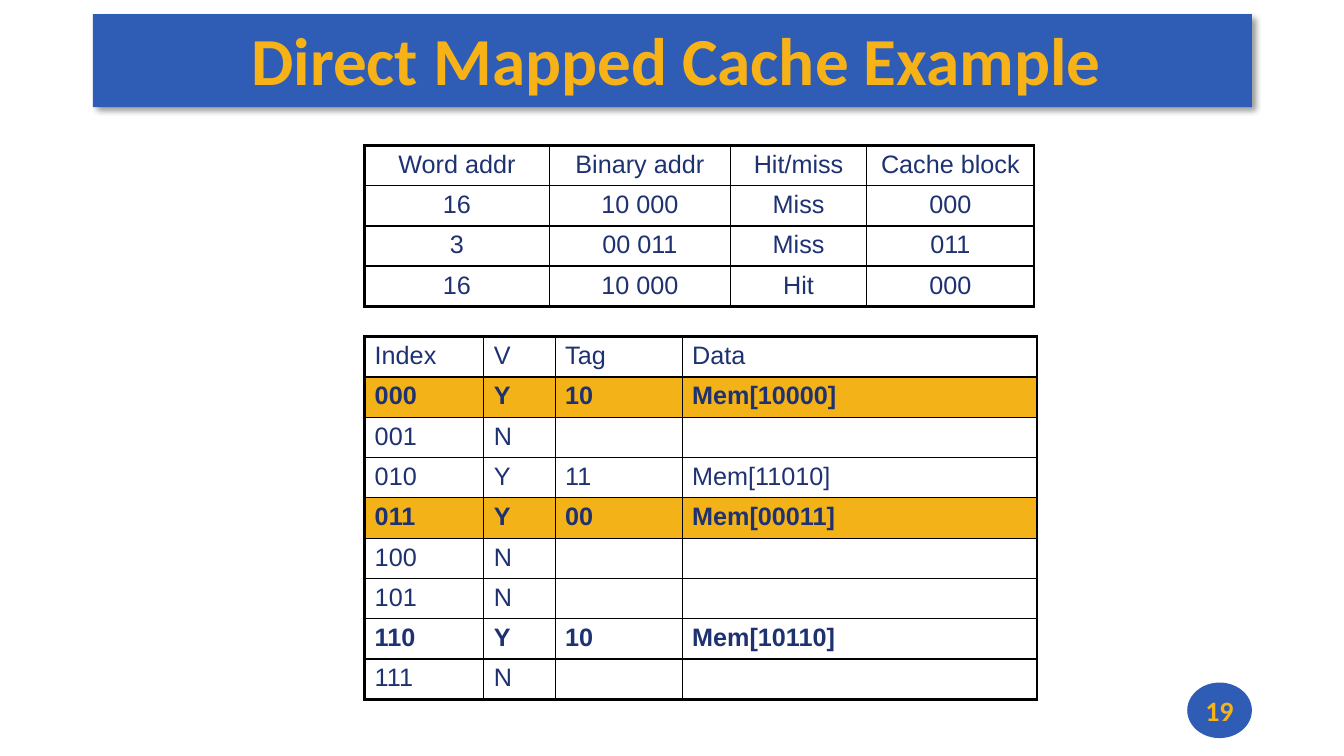
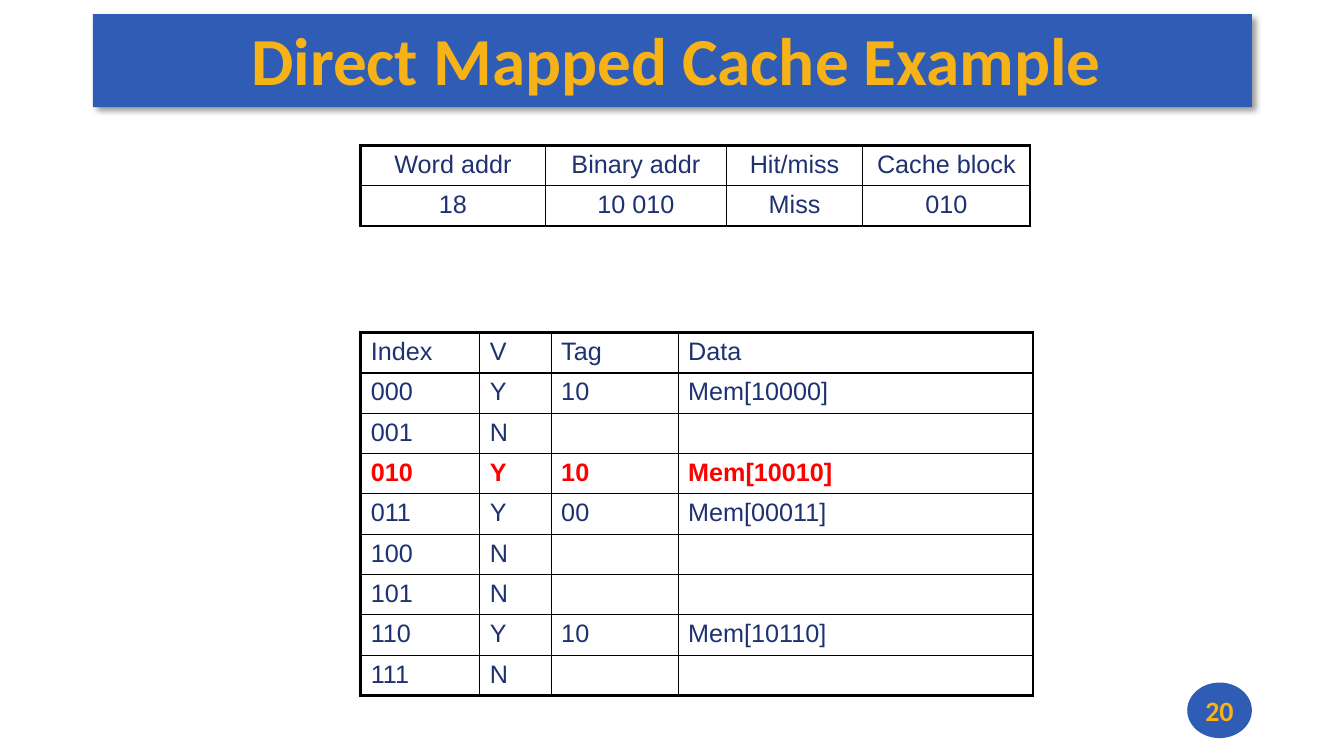
import dataclasses

import lxml.etree
import pptx
import pptx.dml.color
import pptx.enum.shapes
import pptx.enum.text
import pptx.oxml
import pptx.oxml.ns
import pptx.util

Cm = pptx.util.Cm
Pt = pptx.util.Pt
qn = pptx.oxml.ns.qn
Align = pptx.enum.text.PP_ALIGN
Shape = pptx.enum.shapes.MSO_SHAPE


# Shared colours, fonts, sizes and line weights
@dataclasses.dataclass(frozen=True)
class Theme:
    band: str = "2F5CB5"
    gold: str = "F7B217"
    highlight: str = "F3B217"
    ink: str = "1E3272"
    alert: str = "FF0000"
    paper: str = "FFFFFF"
    line: str = "000000"
    heading_font: str = "Calibri"
    table_font: str = "Arial"
    title_size: int = 48
    number_size: int = 20
    table_size: int = 18
    frame_width: float = 2.25
    header_width: float = 1.5
    grid_width: float = 1


# How one table row looks
@dataclasses.dataclass(frozen=True)
class RowStyle:
    color: str
    fill: str
    bold: bool = True


THEME = Theme()
PLAIN = RowStyle(THEME.ink, THEME.paper, bold=False)
BOLD = RowStyle(THEME.ink, THEME.paper)
HIGHLIGHT = RowStyle(THEME.ink, THEME.highlight)
ALERT = RowStyle(THEME.alert, THEME.paper)

# Table layout, in centimetres
ROW_HEIGHT = 1.016
ADDRESS_TOP = 3.66
ADDRESS_COLUMNS = (4.65, 4.57, 3.43, 4.22)
CACHE_COLUMNS = (3, 1.8, 3.2, 8.94)
ADDRESS_HEADER = ("Word addr", "Binary addr", "Hit/miss", "Cache block")
CACHE_HEADER = ("Index", "V", "Tag", "Data")


def rgb(value):
    return pptx.dml.color.RGBColor.from_string(value)


def set_text(frame, text, font_name, size, color, bold, align):
    para = frame.paragraphs[0]
    para.alignment = align
    para.font.name = font_name
    para.font.size = Pt(size)
    para.font.color.rgb = rgb(color)
    para.font.bold = bold
    if text:
        para.add_run().text = text


def add_label(page, kind, box, text, size, insets):
    """Add a blue shape with gold heading text; insets are left, top, right, bottom."""
    label = page.shapes.add_shape(kind, *map(Cm, box))
    label.shadow.inherit = False
    label.fill.solid()
    label.fill.fore_color.rgb = rgb(THEME.band)
    label.line.fill.background()
    frame = label.text_frame
    frame.word_wrap = True
    frame.vertical_anchor = pptx.enum.text.MSO_ANCHOR.MIDDLE
    (frame.margin_left, frame.margin_top,
     frame.margin_right, frame.margin_bottom) = map(Cm, insets)
    set_text(frame, text, THEME.heading_font, size, THEME.gold, True, Align.CENTER)
    return label


def add_shadow(shape):
    effects = shape.element.spPr.find(qn("a:effectLst"))
    shadow = lxml.etree.SubElement(
        effects, qn("a:outerShdw"), blurRad=str(Pt(4)), dist=str(Pt(3)),
        dir="2700000", algn="tl", rotWithShape="0")
    color = lxml.etree.SubElement(shadow, qn("a:srgbClr"), val=THEME.line)
    lxml.etree.SubElement(color, qn("a:alpha"), val="40000")


def set_borders(cell, widths):
    """Draw the cell's borders; widths maps L, R, T, B to points."""
    properties = cell._tc.get_or_add_tcPr()
    for side in "LRTB":
        border = lxml.etree.SubElement(
            properties, qn(f"a:ln{side}"), w=str(Pt(widths[side])))
        fill = lxml.etree.SubElement(border, qn("a:solidFill"))
        lxml.etree.SubElement(fill, qn("a:srgbClr"), val=THEME.line)


def add_grid(page, left, top, columns, rows, align, row_line, styles):
    """Add a framed table; styles maps row numbers to a RowStyle."""
    table = page.shapes.add_table(
        len(rows), len(columns), Cm(left), Cm(top),
        Cm(sum(columns)), Cm(ROW_HEIGHT * len(rows))).table
    table.first_row = False
    table.horz_banding = False
    for column, width in zip(table.columns, columns):
        column.width = Cm(width)

    # Line weights from the outer frame inwards
    frame = THEME.frame_width
    inner_rows = [THEME.header_width] + [row_line] * (len(rows) - 2)
    across = [frame, *inner_rows, frame]
    down = [frame, *[THEME.grid_width] * (len(columns) - 1), frame]

    for r, values in enumerate(rows):
        table.rows[r].height = Cm(ROW_HEIGHT)
        style = styles.get(r, PLAIN)
        for c, value in enumerate(values):
            cell = table.cell(r, c)
            set_borders(cell, {"L": down[c], "R": down[c + 1],
                               "T": across[r], "B": across[r + 1]})
            cell.fill.solid()
            cell.fill.fore_color.rgb = rgb(style.fill)
            set_text(cell.text_frame, value, THEME.table_font, THEME.table_size,
                     style.color, style.bold, align)


def cache_rows(blocks):
    """List all eight cache lines; blocks maps an index to its tag."""
    rows = [CACHE_HEADER]
    for number in range(8):
        index = f"{number:03b}"
        tag = blocks.get(index)
        rows.append((index, "Y", tag, f"Mem[{tag}{index}]") if tag
                    else (index, "N", "", ""))
    return rows


def add_cache_page(deck, number, left, accesses, cache_top, blocks, styles):
    page = deck.slides.add_slide(deck.slide_layouts[6])
    # Title band and page number
    band = add_label(page, Shape.RECTANGLE, (2.34, 0.36, 29.21, 2.34),
                     "Direct Mapped Cache Example", THEME.title_size,
                     (0.2, 0.08, 0, 0.18))
    add_shadow(band)
    add_label(page, Shape.OVAL, (29.92, 17.2, 1.63, 1.4), str(number),
              THEME.number_size, (0, 0, 0, 0))
    # Cache contents and the accesses that led to them
    add_grid(page, left, cache_top, CACHE_COLUMNS, cache_rows(blocks),
             Align.LEFT, THEME.grid_width, styles)
    add_grid(page, left, ADDRESS_TOP, ADDRESS_COLUMNS, [ADDRESS_HEADER, *accesses],
             Align.CENTER, THEME.header_width, {})


def main():
    deck = pptx.Presentation()
    deck.slide_width = Cm(33.87)
    deck.slide_height = Cm(19.05)
    add_cache_page(
        deck, 19, 9.19,
        [("16", "10 000", "Miss", "000"),
         ("3", "00 011", "Miss", "011"),
         ("16", "10 000", "Hit", "000")],
        8.48, {"000": "10", "010": "11", "011": "00", "110": "10"},
        {1: HIGHLIGHT, 4: HIGHLIGHT, 7: BOLD})
    add_cache_page(
        deck, 20, 9.09,
        [("18", "10 010", "Miss", "010")],
        8.38, {"000": "10", "010": "10", "011": "00", "110": "10"},
        {3: ALERT})
    deck.save("out.pptx")


if __name__ == "__main__":
    main()
